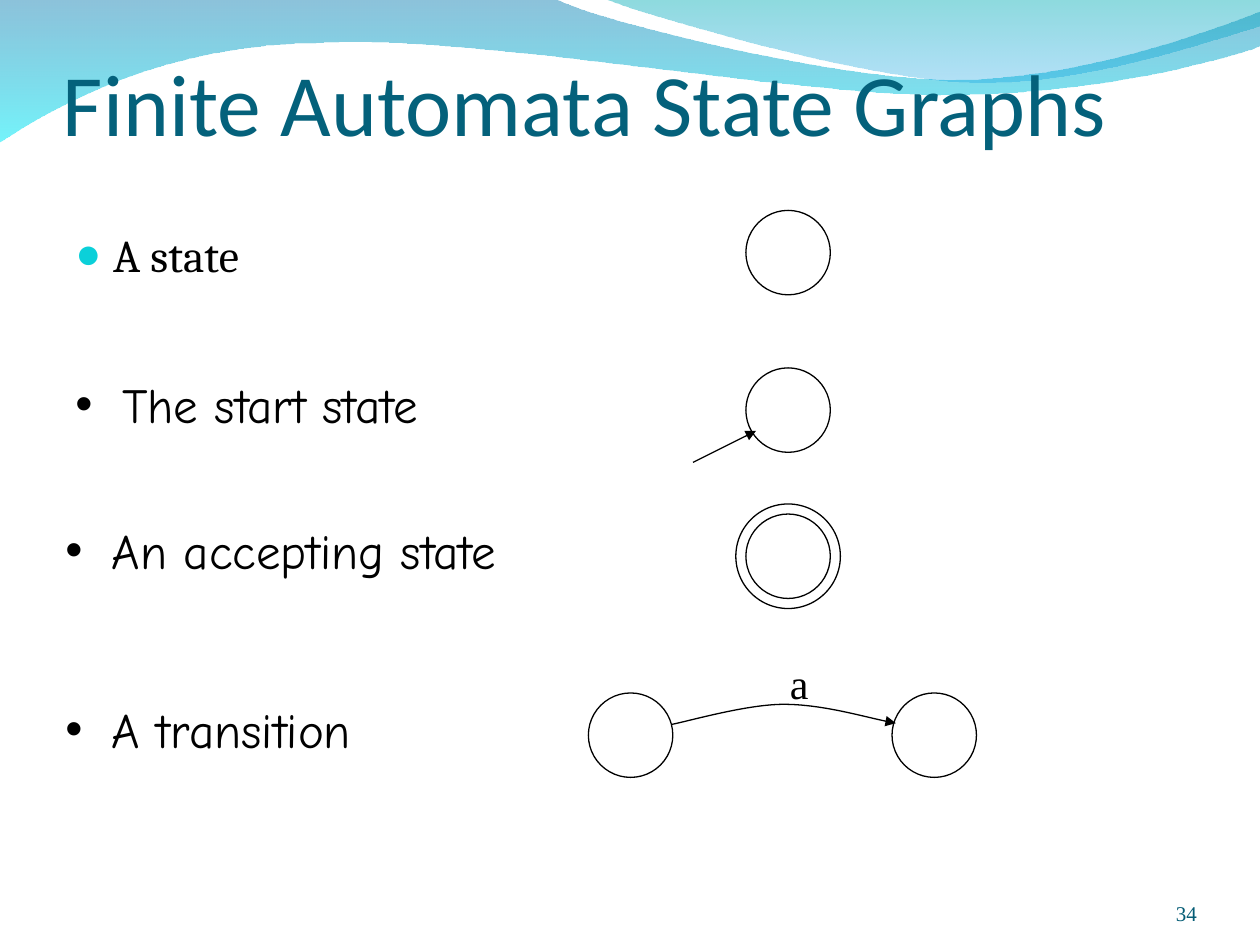
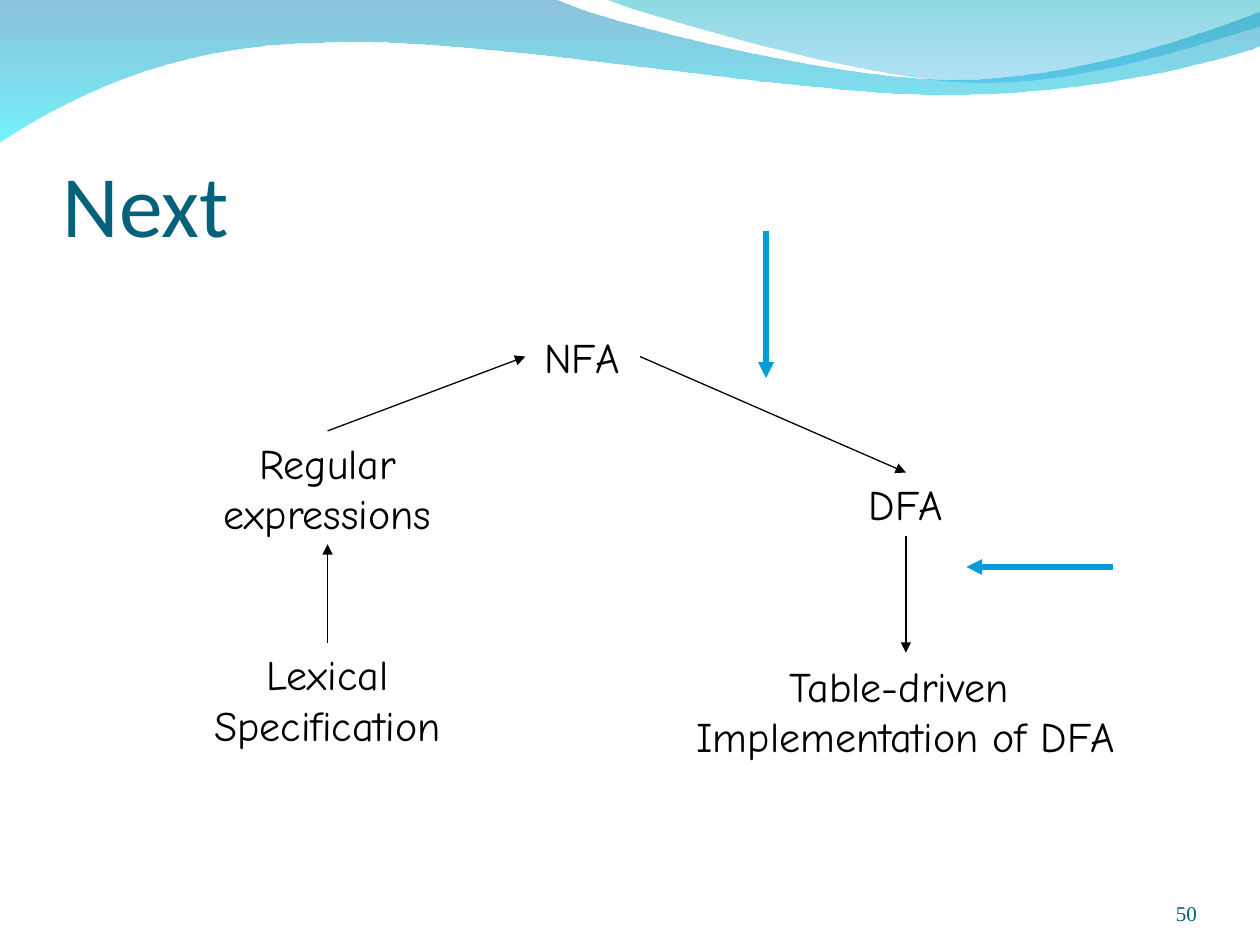
from dataclasses import dataclass

from lxml import etree
from pptx import Presentation
from pptx import util as u
from pptx.dml.color import RGBColor
from pptx.enum import shapes, text
from pptx.oxml.ns import qn


class Theme:
    TITLE, NUMBER, BLACK = "04617B", "045C75", "000000"
    BULLET, POINTER = "0BD0D9", "009DD9"
    LOWER_WAVE = (("0079AF", 45), ("00EBF8", 55))
    UPPER_WAVE = (("00ADB6", 45), ("009BE5", 30))
    HEADING_FONT, BODY_FONT = "Calibri", "Cambria"
    HAND_FONT, NUMBER_FONT = "Comic Neue", "Times New Roman"
    TITLE_SIZE, ROW_SIZE, BODY_SIZE, LABEL_SIZE, NUMBER_SIZE = 50, 28, 26, 24, 12
    THIN, THICK = 0.75, 3


@dataclass
class Box:
    left: float
    top: float
    width: float
    height: float

    def inches(self):
        return [u.Inches(v) for v in (self.left, self.top, self.width, self.height)]

    def point(self, x, y):
        """Turn an offset inside the box into a place on the slide."""
        return self.left + x, self.top + y

    def inner(self, x, y, width, height):
        return Box(*self.point(x, y), width, height)


STATE = 0.67
RING_GAP = 0.08
MARGINS = (0.1, 0.05, 0.1, 0.05)

# Each outline has a start and segments: one point is a line, three are a Bézier curve.
LOWER_WAVE = ((0, -0.01), [
    [(4.4, -0.01)],
    [(4.76, 0.17), (6.64, 0.63), (7.58, 0.63)],
    [(8.53, 0.63), (9.58, 0.26), (10, 0.09)],
    [(10.01, 0.36)],
    [(9.83, 0.44), (8.7, 0.76), (7.46, 0.75)],
    [(6.22, 0.75), (3.82, 0.28), (2.57, 0.34)],
    [(1.29, 0.35), (0.46, 0.83), (-0.01, 1.13)],
    [(0, -0.01)],
])
UPPER_WAVE = ((4.79, -0.01), [
    [(5.09, 0.11), (6.82, 0.62), (7.69, 0.65)],
    [(8.56, 0.69), (9.61, 0.32), (10, 0.21)],
    [(10, 0)],
    [(4.79, -0.01)],
])
TRANSITION_ARC = ((0.66, 0.25), [
    [(0.81, 0.22), (1.26, 0.09), (1.55, 0.09)],
    [(1.85, 0.09), (2.26, 0.21), (2.44, 0.24)],
])


def add_bullet(paragraph, glyph, color, indent, percent):
    properties = paragraph._p.get_or_add_pPr()
    properties.set("marL", str(u.Inches(indent)))
    properties.set("indent", str(-u.Inches(indent)))
    bullet_color = etree.SubElement(properties, qn("a:buClr"))
    etree.SubElement(bullet_color, qn("a:srgbClr"), val=color)
    etree.SubElement(properties, qn("a:buSzPct"), val=str(percent * 1000))
    etree.SubElement(properties, qn("a:buFont"), typeface="Arial")
    etree.SubElement(properties, qn("a:buChar"), char=glyph)


def add_text(slide, box, words, *, size, font, color=Theme.BLACK, align="LEFT",
             anchor="TOP", margins=MARGINS, wrap=True, bullet=None):
    """Write one paragraph for each line of words."""
    frame = slide.shapes.add_textbox(*box.inches()).text_frame
    frame.word_wrap = wrap
    frame.auto_size = (text.MSO_AUTO_SIZE.NONE if wrap
                       else text.MSO_AUTO_SIZE.SHAPE_TO_FIT_TEXT)
    frame.vertical_anchor = text.MSO_ANCHOR[anchor]
    (frame.margin_left, frame.margin_top,
     frame.margin_right, frame.margin_bottom) = map(u.Inches, margins)
    frame.text = words
    for paragraph in frame.paragraphs:
        if bullet:
            add_bullet(paragraph, *bullet)
        paragraph.alignment = text.PP_ALIGN[align]
        paragraph.font.size = u.Pt(size)
        paragraph.font.name = font
        paragraph.font.color.rgb = RGBColor.from_string(color)


def style_line(shape, color, width, arrow=False):
    shape.line.color.rgb = RGBColor.from_string(color)
    shape.line.width = u.Pt(width)
    if arrow:
        etree.SubElement(shape.line._get_or_add_ln(), qn("a:tailEnd"), type="triangle")


def add_arrow(slide, start, end, color=Theme.BLACK, width=Theme.THIN):
    connector = slide.shapes.add_connector(
        shapes.MSO_CONNECTOR.STRAIGHT, *[u.Inches(v) for v in (*start, *end)])
    style_line(connector, color, width, arrow=True)
    etree.SubElement(connector._element.spPr, qn("a:effectLst"))


def add_outline(slide, box, outline, close):
    """Draw line segments, then join each group of three into a Bézier curve."""
    start, segments = outline
    points = [start] + [point for segment in segments for point in segment]
    points = [tuple(u.Inches(v) for v in box.point(*point)) for point in points]
    builder = slide.shapes.build_freeform(*points[0])
    builder.add_line_segments(points[1:], close=close)
    shape = builder.convert_to_shape()
    shape.shadow.inherit = False
    lines = iter(list(shape._element.spPr.iter(qn("a:lnTo"))))
    for segment in segments:
        group = [next(lines) for _ in segment]
        if len(group) == 3:
            curve = etree.Element(qn("a:cubicBezTo"))
            group[0].addprevious(curve)
            for line in group:
                curve.append(line[0])
                line.getparent().remove(line)
    return shape


def add_wave(slide, box, outline, stops):
    wave = add_outline(slide, box, outline, close=True)
    wave.line.fill.background()
    wave.fill.gradient()
    wave.fill.gradient_angle = 270
    for stop, (color, _) in zip(wave.fill.gradient_stops, stops):
        stop.color.rgb = RGBColor.from_string(color)
    colors = wave._element.spPr.iter(qn("a:srgbClr"))
    for element, (_, opacity) in zip(list(colors), stops):
        etree.SubElement(element, qn("a:alpha"), val=str(opacity * 1000))


def add_base_slide(presentation, title, title_top, number):
    """Start a slide with the waves, its number and its title."""
    slide = presentation.slides.add_slide(presentation.slide_layouts[6])
    page = Box(0, 0, 10, 7.5)
    add_wave(slide, page, LOWER_WAVE, Theme.LOWER_WAVE)
    add_wave(slide, page, UPPER_WAVE, Theme.UPPER_WAVE)
    add_text(slide, page.inner(8.67, 6.95, 0.83, 0.4), str(number),
             size=Theme.NUMBER_SIZE, font=Theme.NUMBER_FONT, color=Theme.NUMBER,
             align="RIGHT", anchor="BOTTOM", margins=(0, 0, 0, 0))
    add_text(slide, page.inner(0.5, title_top, 9, 1.25), title,
             size=Theme.TITLE_SIZE, font=Theme.HEADING_FONT, color=Theme.TITLE,
             anchor="BOTTOM", margins=(0, 0.05, 0, 0))
    return slide


def add_circle(slide, box):
    circle = slide.shapes.add_shape(shapes.MSO_SHAPE.OVAL, *box.inches())
    circle.shadow.inherit = False
    circle.fill.background()
    style_line(circle, Theme.BLACK, Theme.THIN)


def draw_state(slide, box):
    add_circle(slide, box)


def draw_start_state(slide, box):
    add_circle(slide, box)
    add_arrow(slide, box.point(-0.42, 0.75), box.point(0.08, 0.5))


def draw_accepting_state(slide, box):
    add_circle(slide, box)
    ring = STATE + 2 * RING_GAP
    add_circle(slide, box.inner(-RING_GAP, -RING_GAP, ring, ring))


def draw_transition(slide, box):
    for left in (0, box.width - STATE):
        add_circle(slide, box.inner(left, 0, STATE, STATE))
    arc = add_outline(slide, box, TRANSITION_ARC, close=False)
    arc.fill.background()
    style_line(arc, Theme.BLACK, Theme.THIN, arrow=True)
    add_text(slide, box.inner(1.5, -0.33, 0.35, 0.5), "a", wrap=False,
             size=Theme.LABEL_SIZE, font=Theme.NUMBER_FONT)


def add_state_graphs(slide, box):
    """List each graph part on the left and draw it on the right."""
    body = dict(size=Theme.BODY_SIZE, font=Theme.BODY_FONT,
                bullet=("●", Theme.BULLET, 0.3, 95))
    hand = dict(size=Theme.ROW_SIZE, font=Theme.HAND_FONT,
                bullet=("•", Theme.BLACK, 0.37, 100))
    rows = [
        ("A state", body, 0.08, 0.08, draw_state, (5.5, 0, STATE)),
        ("The start state", hand, 0.08, 1.25, draw_start_state, (5.5, 1.25, STATE)),
        ("An accepting state", hand, 0, 2.41, draw_accepting_state, (5.5, 2.41, STATE)),
        ("A transition", hand, 0, 3.83, draw_transition, (4.25, 3.83, 3.08)),
    ]
    for words, style, left, top, draw, (x, y, width) in rows:
        add_text(slide, box.inner(left, top, 9.08, 0.58), words, **style)
        draw(slide, box.inner(x, y, width, STATE))


def add_pipeline(slide, box):
    """Show the way from lexical specification to table-driven code."""
    labels = [
        ("Regular\nexpressions", (0.06, 1.59, 1.88, 0.9)),
        ("NFA", (2.61, 0.75, 0.82, 0.5)),
        ("DFA", (5.18, 1.92, 0.82, 0.5)),
        ("Lexical\nSpecification", (-0.02, 3.27, 2.04, 0.9)),
        ("Table-driven \nImplementation of DFA", (3.81, 3.36, 3.56, 0.9)),
    ]
    for words, place in labels:
        add_text(slide, box.inner(*place), words, size=Theme.LABEL_SIZE,
                 font=Theme.HAND_FONT, align="CENTER", wrap=False)
    steps = [
        ((1, 3.27), (1, 2.49)),
        ((1, 1.59), (2.57, 1)),
        ((3.48, 1), (5.59, 1.92)),
        ((5.59, 2.42), (5.59, 3.35)),
    ]
    for start, end in steps:
        add_arrow(slide, box.point(*start), box.point(*end))
    pointers = [((4.48, 0), (4.48, 1.17)), ((7.23, 2.67), (6.07, 2.67))]
    for start, end in pointers:
        add_arrow(slide, box.point(*start), box.point(*end), Theme.POINTER, Theme.THICK)


def main():
    presentation = Presentation()
    presentation.slide_width, presentation.slide_height = u.Inches(10), u.Inches(7.5)
    graphs = add_base_slide(presentation, "Finite Automata State Graphs", -0.03, 34)
    add_state_graphs(graphs, Box(0.42, 1.67, 9.16, 4.5))
    pipeline = add_base_slide(presentation, "Next", 0.77, 50)
    add_pipeline(pipeline, Box(1.6, 1.83, 7.35, 4.25))
    presentation.save("out.pptx")


if __name__ == "__main__":
    main()
